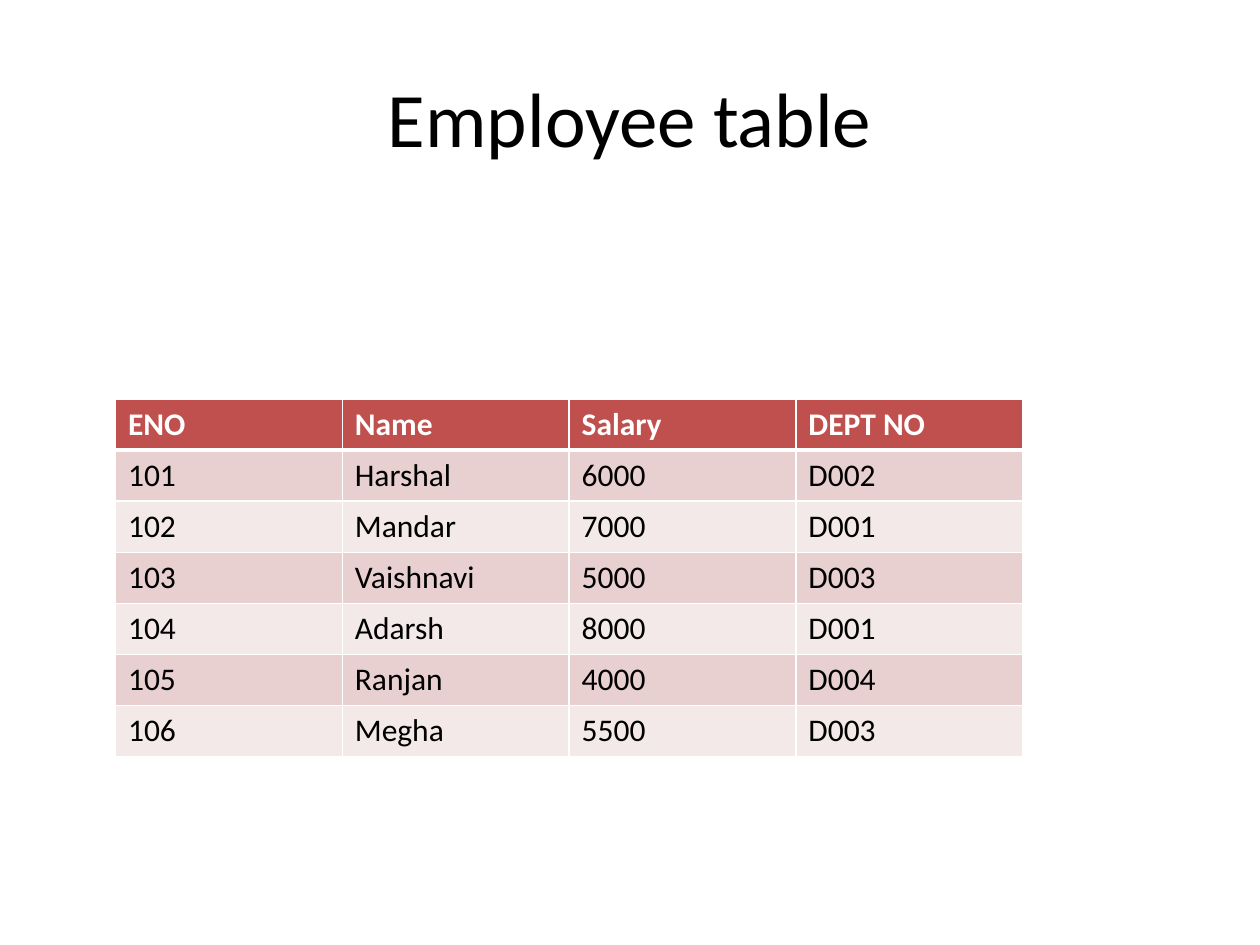
from dataclasses import dataclass

import pptx
import pptx.dml.color
import pptx.enum.text
import pptx.oxml
import pptx.oxml.ns
import pptx.util
from pptx.util import Pt


@dataclass(frozen=True)
class Theme:
    font: str = "Calibri"
    title_size: float = 44
    table_size: float = 18
    text: str = "000000"
    header_text: str = "FFFFFF"
    header_fill: str = "C0504D"
    band_fills: tuple = ("E8D0D0", "F4E9E9")
    border: str = "FFFFFF"
    border_width: float = 1
    header_rule: float = 3


THEME = Theme()

HEADINGS = ("ENO", "Name", "Salary", "DEPT NO")
EMPLOYEES = (
    ("101", "Harshal", "6000", "D002"),
    ("102", "Mandar", "7000", "D001"),
    ("103", "Vaishnavi", "5000", "D003"),
    ("104", "Adarsh", "8000", "D001"),
    ("105", "Ranjan", "4000", "D004"),
    ("106", "Megha", "5500", "D003"),
)


def rgb(color):
    return pptx.dml.color.RGBColor.from_string(color)


def write_text(frame, text, *, size, color=THEME.text, bold=False,
               align=pptx.enum.text.PP_ALIGN.LEFT):
    paragraph = frame.paragraphs[0]
    paragraph.alignment = align
    run = paragraph.add_run()
    run.text = text
    run.font.name = THEME.font
    run.font.size = Pt(size)
    run.font.bold = bold
    run.font.color.rgb = rgb(color)


def set_borders(cell, **widths):
    """Border each side; widths overrides single sides (L, R, T, B)."""
    properties = cell._tc.get_or_add_tcPr()
    for side in "LRTB":
        width = Pt(widths.get(side, THEME.border_width))
        properties.append(pptx.oxml.parse_xml(
            f'<a:ln{side} {pptx.oxml.ns.nsdecls("a")} w="{width}">'
            f'<a:solidFill><a:srgbClr val="{THEME.border}"/></a:solidFill>'
            f'</a:ln{side}>'))


def add_title(slide, left, top, width, height):
    title = slide.shapes.add_textbox(Pt(left), Pt(top), Pt(width), Pt(height))
    frame = title.text_frame
    frame.word_wrap = True
    frame.vertical_anchor = pptx.enum.text.MSO_ANCHOR.MIDDLE
    write_text(frame, "Employee table", size=THEME.title_size,
               align=pptx.enum.text.PP_ALIGN.CENTER)


def add_employee_table(slide, left, top, width, height):
    rows = (HEADINGS, *EMPLOYEES)
    employees = slide.shapes.add_table(
        len(rows), len(HEADINGS), Pt(left), Pt(top), Pt(width), Pt(height)).table
    for row_index, values in enumerate(rows):
        is_header = row_index == 0
        # Header colours, then alternating bands
        if is_header:
            fill, color = THEME.header_fill, THEME.header_text
            rule = {"B": THEME.header_rule}
        else:
            fill, color = THEME.band_fills[(row_index - 1) % 2], THEME.text
            rule = {"T": THEME.header_rule} if row_index == 1 else {}
        for column_index, value in enumerate(values):
            cell = employees.cell(row_index, column_index)
            set_borders(cell, **rule)
            cell.fill.solid()
            cell.fill.fore_color.rgb = rgb(fill)
            write_text(cell.text_frame, value, size=THEME.table_size,
                       color=color, bold=is_header)


def main():
    presentation = pptx.Presentation()
    presentation.slide_width = Pt(720)
    presentation.slide_height = Pt(540)
    slide = presentation.slides.add_slide(presentation.slide_layouts[6])

    add_title(slide, 36, 21.6, 648, 90)
    add_employee_table(slide, 66, 228, 518.4, 204.4)

    presentation.save("out.pptx")


if __name__ == "__main__":
    main()
